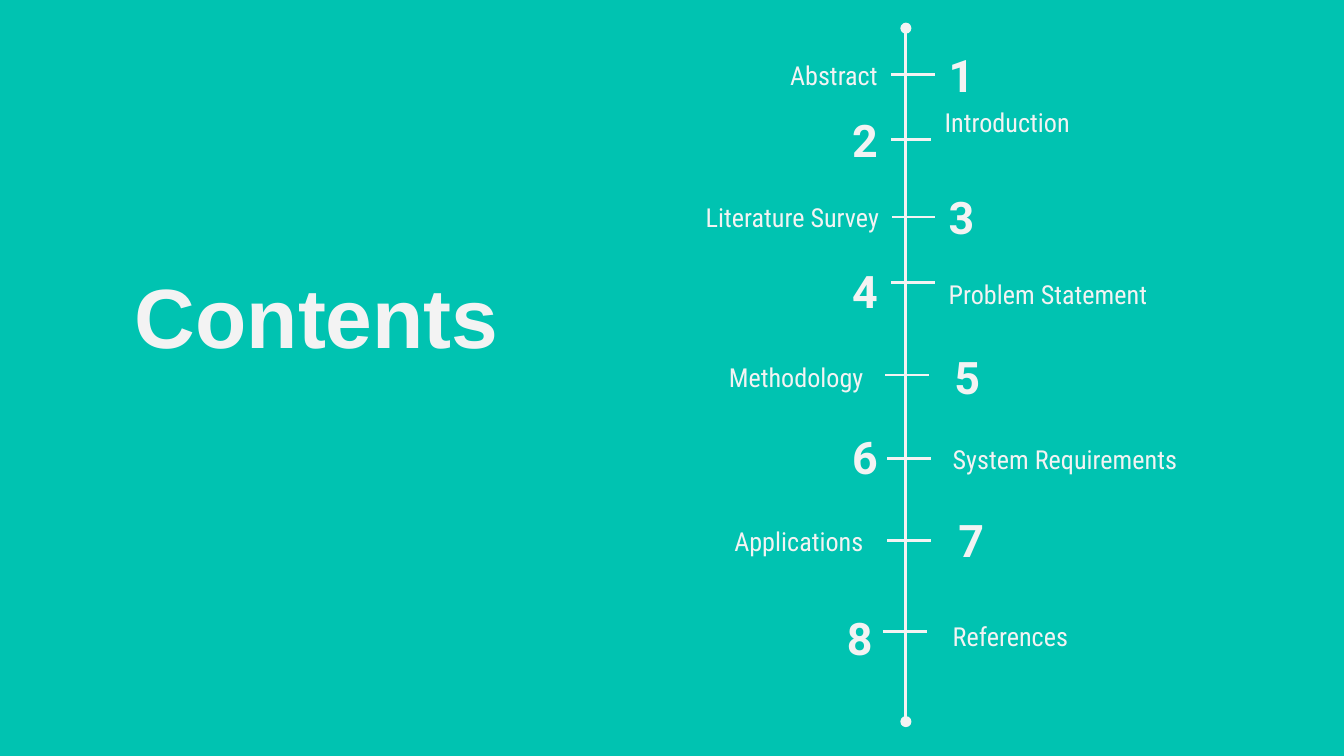
from lxml.etree import SubElement
from pptx import Presentation
from pptx.dml.color import RGBColor
from pptx.enum.shapes import MSO_CONNECTOR
from pptx.enum.text import MSO_ANCHOR, PP_ALIGN
from pptx.oxml.ns import qn
from pptx.util import Pt

COLORS = {"back": "00C3B1", "ink": "F3F3F3"}
INK = RGBColor.from_string(COLORS["ink"])
FONTS = {
    "title": {"name": "Arial", "size": Pt(45), "bold": True},
    "digit": {"name": "Roboto", "size": Pt(24), "bold": True},
    "label": {"name": "Roboto Condensed", "size": Pt(14), "bold": False},
}
LEFT, RIGHT = PP_ALIGN.LEFT, PP_ALIGN.RIGHT
WIDTH, HEIGHT = 162.7, 49.7

deck = Presentation()
deck.slide_width, deck.slide_height = Pt(720), Pt(405)
slide = deck.slides.add_slide(deck.slide_layouts[6])
slide.background.fill.solid()
slide.background.fill.fore_color.rgb = RGBColor.from_string(COLORS["back"])


def add_text(text, style, x, y, align, anchor=MSO_ANCHOR.MIDDLE, w=WIDTH, h=HEIGHT):
    box = slide.shapes.add_textbox(Pt(x), Pt(y), Pt(w), Pt(h))
    frame = {"word_wrap": True, "vertical_anchor": anchor}
    for side in ("left", "right", "top", "bottom"):
        frame["margin_" + side] = Pt(7.2)
    for key, value in frame.items():
        setattr(box.text_frame, key, value)
    para = box.text_frame.paragraphs[0]
    para.alignment = align
    run = para.add_run()
    run.text = text
    for key, value in FONTS[style].items():
        setattr(run.font, key, value)
    run.font.color.rgb = INK
    return box


def add_line(x1, y1, x2, y2):
    line = slide.shapes.add_connector(
        MSO_CONNECTOR.STRAIGHT, Pt(x1), Pt(y1), Pt(x2), Pt(y2))
    line.line.color.rgb = INK
    line.line.width = Pt(1.5)
    SubElement(line._element.spPr, qn("a:effectLst"))
    return line


# Title
add_text("Contents", "title", 56.9, 134.6, RIGHT, MSO_ANCHOR.TOP, 217.4, 136.1)

# Timeline axis with round ends
axis = add_line(485.3, 15.1, 485.3, 386.6)
for end in ("headEnd", "tailEnd"):
    SubElement(axis.line._get_or_add_ln(), qn("a:" + end), type="oval")

# Entries: label, digit box, label box, tick (None joins the two boxes)
items = [
    ("Abstract", (501.1, 15.1), (314.6, 15.1), None),
    ("Introduction", (314.6, 49.7), (499, 49.7), None),
    ("Literature Survey", (501.1, 91.4), (315.4, 91.4), None),
    ("Problem Statement", (314.6, 131), (501.1, 132.5), (477.4, 151.2)),
    ("Methodology", (369.4, 177.1), (344.9, 177.1), (474.2, 200.9)),
    ("System Requirements", (314.6, 219.6), (503.3, 221), (475.2, 245.5)),
    ("Applications", (371.5, 264.2), (347.8, 265), (475.2, 289.4)),
    ("References", (311.8, 316.8), (503.3, 316.1), (473, 338.4)),
]
TICK, INDENT = 23.6, 38.5
for num, (name, spot, place, tick) in enumerate(items, 1):
    inset = name in ("Methodology", "Applications")
    odd = num % 2 == 1
    digit = add_text(str(num), "digit", *spot,
                     LEFT if odd and not inset else RIGHT)
    label = add_text(name, "label", *place,
                     RIGHT if odd and not inset else LEFT,
                     MSO_ANCHOR.TOP if name == "Introduction" else MSO_ANCHOR.MIDDLE)
    if inset:
        props = label.text_frame.paragraphs[0]._p.get_or_add_pPr()
        props.set("marL", str(Pt(INDENT)))
        props.set("indent", "0")
    if tick:
        x, y = tick
        add_line(x, y, x + TICK, y)
    else:
        first, last = (label, digit) if odd else (digit, label)
        mid = spot[1] + HEIGHT / 2
        line = add_line(477.4, mid, 501.1, mid)
        line.begin_connect(first, 3)
        line.end_connect(last, 1)

deck.save("out.pptx")
